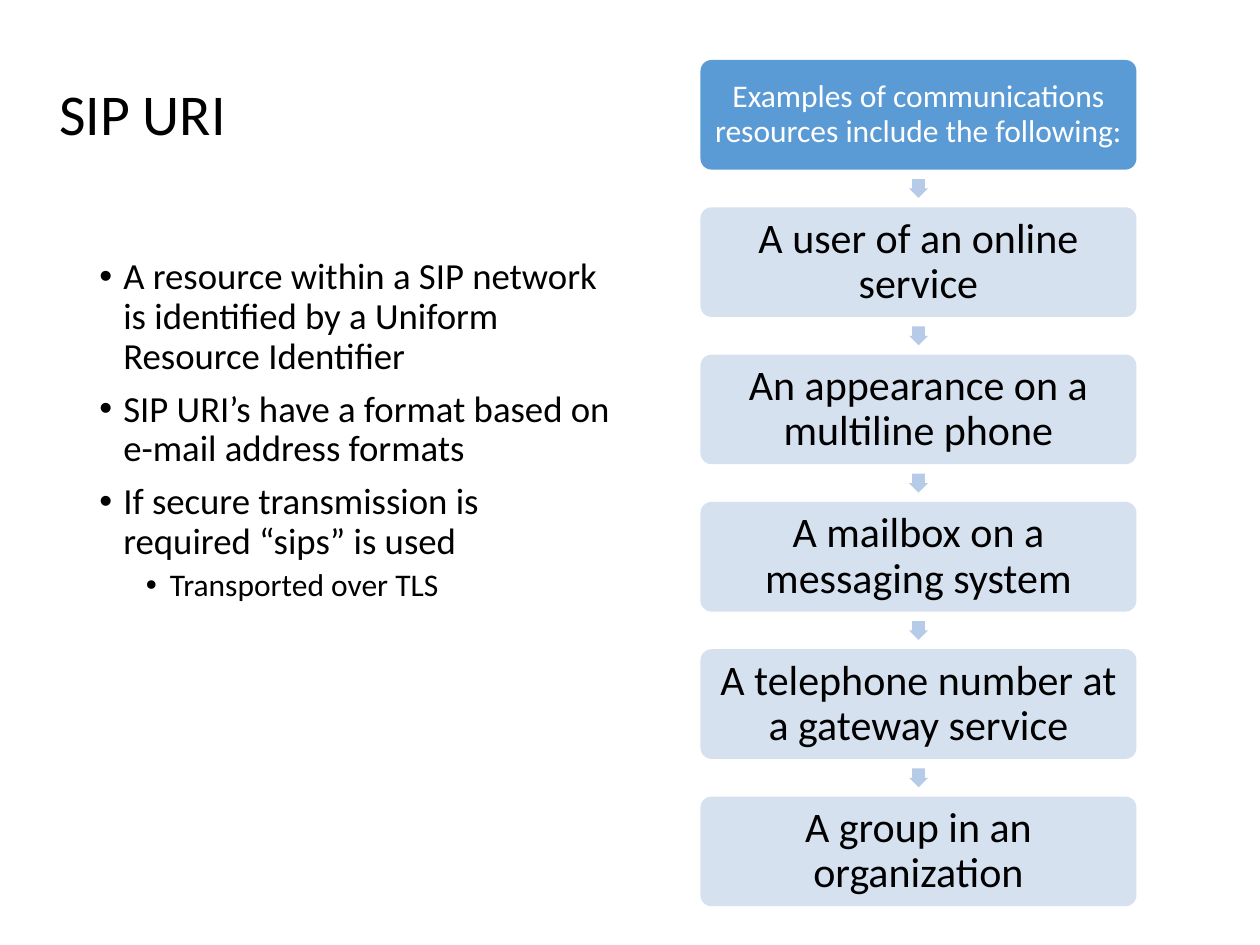
from dataclasses import dataclass

from lxml.etree import SubElement
from pptx import Presentation
from pptx.dml.color import RGBColor
from pptx.enum.shapes import MSO_SHAPE
from pptx.enum.text import MSO_ANCHOR, PP_ALIGN
from pptx.oxml.ns import qn
from pptx.slide import Slide
from pptx.util import Inches, Pt

WIDTH, HEIGHT = Inches(10), Inches(7.5)

# All positions and sizes are percentages of the slide's width and height.
BOX_LEFT, BOX_WIDTH = 55.6, 34.6
BOX_TOP, BOX_HEIGHT, BOX_STEP = 6.35, 11.6, 15.59
ARROW_WIDTH, ARROW_HEIGHT = 1.5, 2

HEADING = "Examples of communications resources include the following:"
EXAMPLES = [
    "A user of an online service",
    "An appearance on a multiline phone",
    "A mailbox on a messaging system",
    "A telephone number at a gateway service",
    "A group in an organization",
]
BULLETS = [
    (0, "A resource within a SIP network is identified by a Uniform Resource Identifier"),
    (0, "SIP URI’s have a format based on e-mail address formats"),
    (0, "If secure transmission is required “sips” is used"),
    (1, "Transported over TLS"),
]


def color(hex_string):
    return RGBColor.from_string(hex_string)


def place(left, top, width, height):
    """Turn percentages of the slide into lengths."""
    return (int(WIDTH * left / 100), int(HEIGHT * top / 100),
            int(WIDTH * width / 100), int(HEIGHT * height / 100))


@dataclass
class SlideBuilder:
    slide: Slide
    font: str = "Calibri"
    ink: str = "000000"
    line_spacing: float = 0.9

    def format_paragraph(self, paragraph, size, ink=None):
        paragraph.line_spacing = self.line_spacing
        for run in paragraph.runs:
            run.font.name = self.font
            run.font.size = Pt(size)
            run.font.color.rgb = color(ink or self.ink)

    def text_box(self, area):
        text_frame = self.slide.shapes.add_textbox(*place(*area)).text_frame
        text_frame.word_wrap = True
        return text_frame

    def title(self, text, area):
        text_frame = self.text_box(area)
        text_frame.vertical_anchor = MSO_ANCHOR.MIDDLE
        text_frame.text = text
        self.format_paragraph(text_frame.paragraphs[0], 33)

    def bullet_list(self, items, area):
        text_frame = self.text_box(area)
        text_frame.text = "\n".join(text for _, text in items)
        for paragraph, (level, _) in zip(text_frame.paragraphs, items):
            paragraph.level = level
            paragraph.space_before = Pt(3.8 if level else 7.5)
            self.format_paragraph(paragraph, 18 if level else 21)
            properties = paragraph._p.get_or_add_pPr()
            properties.set("marL", str(Inches(0.19 + 0.37 * level)))
            properties.set("indent", str(Inches(-0.19)))
            SubElement(properties, qn("a:buFont"), typeface="Arial")
            SubElement(properties, qn("a:buChar"), char="•")

    def filled_shape(self, kind, area, fill, adjustments):
        shape = self.slide.shapes.add_shape(kind, *place(*area))
        shape.shadow.inherit = False
        shape.line.fill.background()
        shape.fill.solid()
        shape.fill.fore_color.rgb = color(fill)
        for index, value in enumerate(adjustments):
            shape.adjustments[index] = value
        return shape

    def box(self, text, area, fill, size, ink=None, opacity=100):
        shape = self.filled_shape(MSO_SHAPE.ROUNDED_RECTANGLE, area, fill, [0.1])
        if opacity < 100:
            rgb = shape.fill._xPr.find(".//" + qn("a:srgbClr"))
            SubElement(rgb, qn("a:alpha"), val=str(opacity * 1000))
        text_frame = shape.text_frame
        text_frame.word_wrap = True
        text_frame.vertical_anchor = MSO_ANCHOR.MIDDLE
        text_frame.margin_left = text_frame.margin_right = Inches(0.03)
        text_frame.margin_top = text_frame.margin_bottom = Inches(0.03)
        text_frame.text = text
        paragraph = text_frame.paragraphs[0]
        paragraph.alignment = PP_ALIGN.CENTER
        self.format_paragraph(paragraph, size, ink)

    def down_arrow(self, area):
        arrow = self.filled_shape(MSO_SHAPE.RIGHT_ARROW, area, "B5CBE7", [0.67, 0.5])
        arrow.rotation = 90


def main():
    presentation = Presentation()
    presentation.slide_width, presentation.slide_height = WIDTH, HEIGHT
    builder = SlideBuilder(presentation.slides.add_slide(presentation.slide_layouts[6]))

    builder.title("SIP URI", (3.7, 4, 47.1, 16.67))
    builder.bullet_list(BULLETS, (6.9, 26.67, 42.5, 63.47))

    builder.box(HEADING, (BOX_LEFT, BOX_TOP, BOX_WIDTH, BOX_HEIGHT),
                "5B9BD5", 18, ink="FFFFFF")
    arrow_left = BOX_LEFT + (BOX_WIDTH - ARROW_WIDTH) / 2
    arrow_rise = (BOX_STEP - BOX_HEIGHT + ARROW_HEIGHT) / 2
    for number, example in enumerate(EXAMPLES, start=1):
        top = BOX_TOP + number * BOX_STEP
        builder.down_arrow((arrow_left, top - arrow_rise, ARROW_WIDTH, ARROW_HEIGHT))
        builder.box(example, (BOX_LEFT, top, BOX_WIDTH, BOX_HEIGHT),
                    "D2DEEF", 24, opacity=90)

    presentation.save("out.pptx")


if __name__ == "__main__":
    main()
